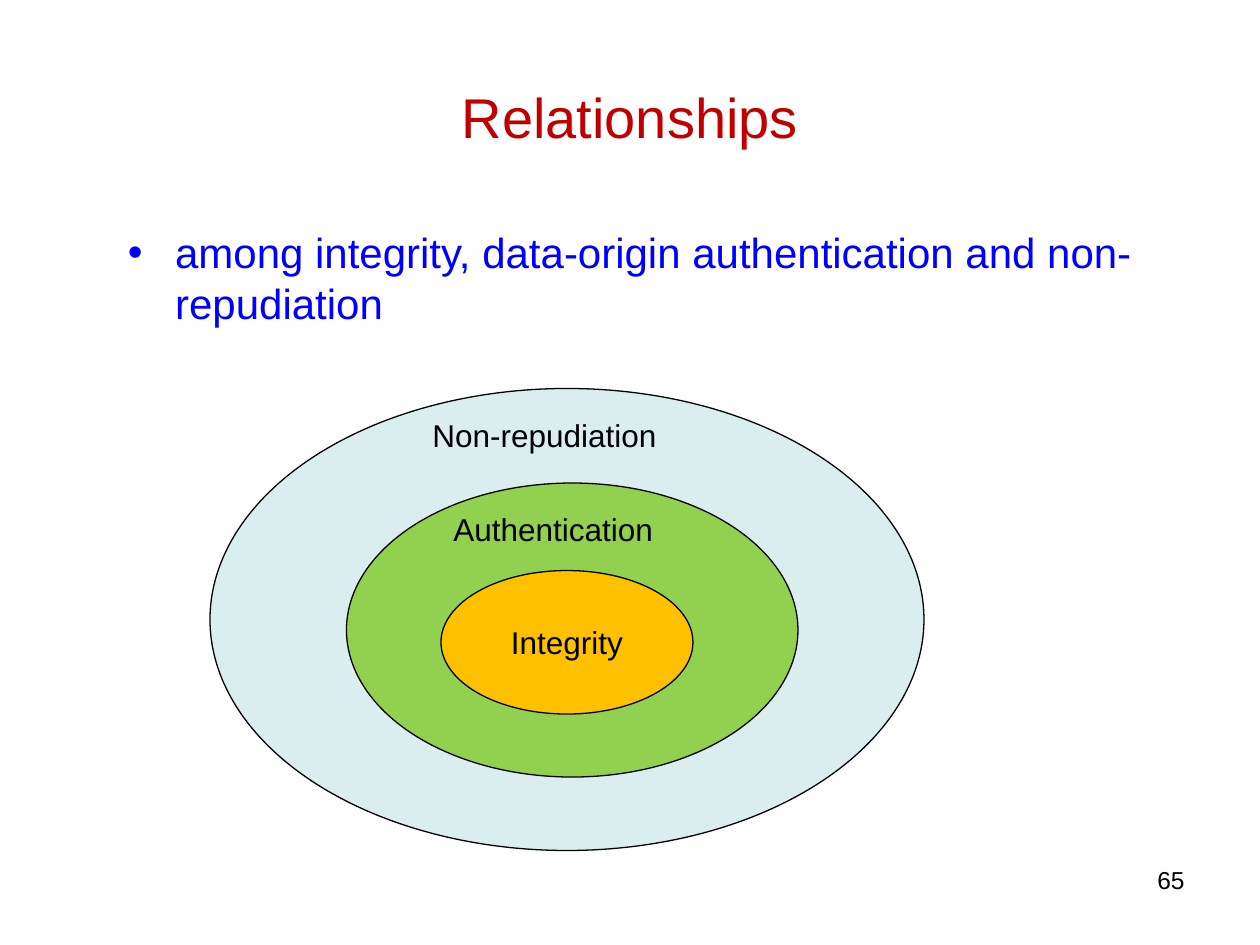
import pptx
import pptx.dml.color
import pptx.enum.shapes
import pptx.enum.text
import pptx.oxml
import pptx.oxml.ns
import pptx.util

Pt = pptx.util.Pt
ALIGN = pptx.enum.text.PP_ALIGN
ANCHOR = pptx.enum.text.MSO_ANCHOR

COLORS = {
    "title": "C00000",
    "bullet": "0000FF",
    "black": "000000",
    "non-repudiation": "DAEDEF",
    "authentication": "92D050",
    "integrity": "FFC000",
}


def rgb(name):
    return pptx.dml.color.RGBColor.from_string(COLORS[name])


def write(shape, text, size, color="black", align=ALIGN.LEFT, anchor=ANCHOR.TOP, wrap=True):
    frame = shape.text_frame
    frame.text = text
    frame.word_wrap = wrap
    frame.vertical_anchor = anchor
    paragraph = frame.paragraphs[0]
    paragraph.alignment = align
    font = paragraph.runs[0].font
    font.name = "Arial"
    font.size = Pt(size)
    font.color.rgb = rgb(color)


def place_title(slide, text):
    title = slide.shapes.title
    title.left, title.top, title.width, title.height = Pt(36), Pt(21.6), Pt(648), Pt(90)
    write(title, text, 32, "title", ALIGN.CENTER, ANCHOR.MIDDLE)


def add_text(slide, text, left, top, width, height, size, **style):
    box = slide.shapes.add_textbox(Pt(left), Pt(top), Pt(width), Pt(height))
    write(box, text, size, **style)
    return box


def add_bullet(box, indent):
    properties = box.text_frame.paragraphs[0]._p.get_or_add_pPr()
    properties.set("marL", str(Pt(indent)))
    properties.set("indent", str(-Pt(indent)))
    namespace = pptx.oxml.ns.nsdecls("a")
    properties.append(pptx.oxml.parse_xml(f'<a:buFont {namespace} typeface="Arial"/>'))
    properties.append(pptx.oxml.parse_xml(f'<a:buChar {namespace} char="•"/>'))


def add_ellipse(slide, color, left, top, width, height):
    ellipse = slide.shapes.add_shape(
        pptx.enum.shapes.MSO_SHAPE.OVAL, Pt(left), Pt(top), Pt(width), Pt(height))
    ellipse.shadow.inherit = False
    ellipse.fill.solid()
    ellipse.fill.fore_color.rgb = rgb(color)
    ellipse.line.color.rgb = rgb("black")
    ellipse.line.width = Pt(0.75)
    return ellipse


def main():
    deck = pptx.Presentation()
    deck.slide_width, deck.slide_height = Pt(720), Pt(540)
    slide = deck.slides.add_slide(deck.slide_layouts.get_by_name("Title Only"))

    place_title(slide, "Relationships")
    topic = add_text(slide, "among integrity, data-origin authentication and non-repudiation",
                     66, 126, 612, 324, 24, color="bullet")
    add_bullet(topic, 27)

    add_ellipse(slide, "non-repudiation", 120, 222, 408, 264)
    add_ellipse(slide, "authentication", 198, 276, 258, 168)
    integrity = add_ellipse(slide, "integrity", 252, 326, 144, 82)
    write(integrity, "Integrity", 18, align=ALIGN.CENTER, anchor=ANCHOR.MIDDLE, wrap=False)
    add_text(slide, "Authentication", 252, 288, 168, 36, 18)
    add_text(slide, "Non-repudiation", 240, 234, 187, 36, 18)

    add_text(slide, "65", 516, 490.5, 168, 37.5, 14, align=ALIGN.RIGHT)
    deck.save("out.pptx")


if __name__ == "__main__":
    main()
